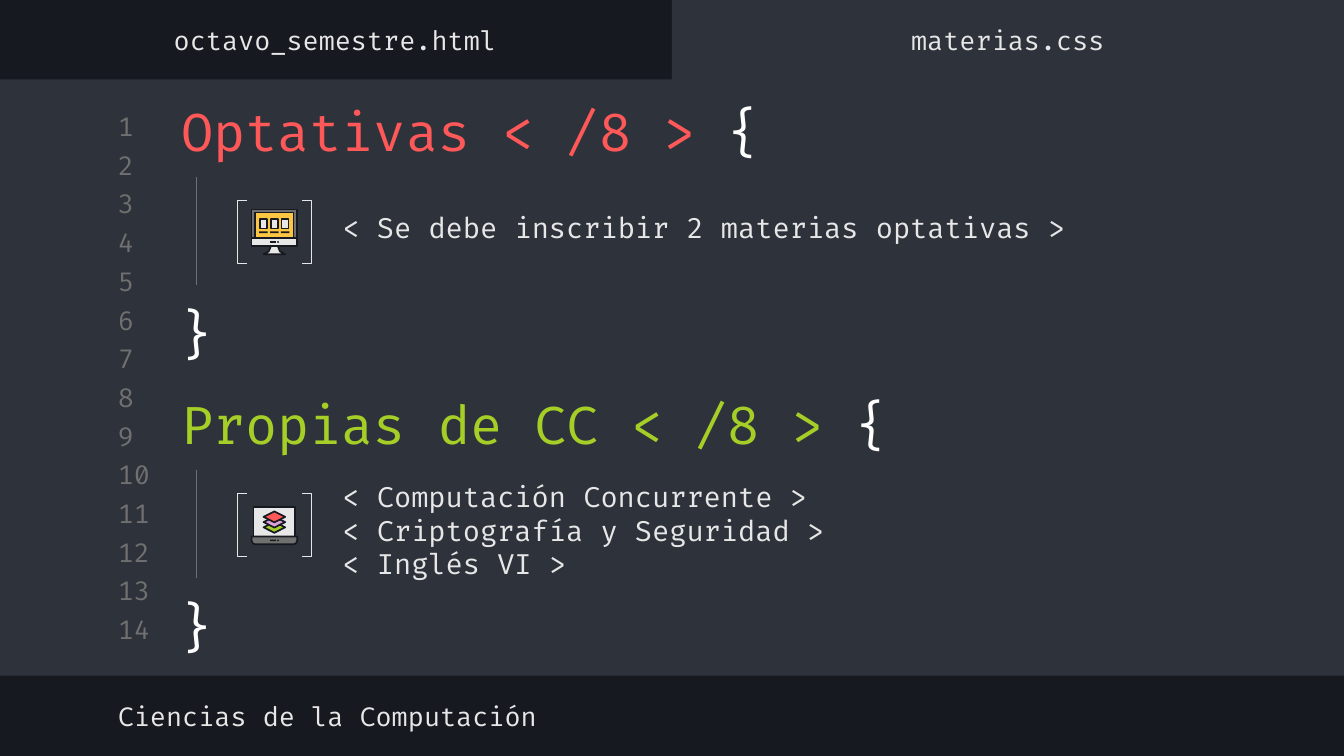
from lxml.etree import SubElement
from pptx import Presentation
from pptx.dml.color import RGBColor
from pptx.enum.shapes import MSO_CONNECTOR, MSO_SHAPE as Preset
from pptx.enum.text import MSO_ANCHOR as Anchor, PP_ALIGN as Align
from pptx.oxml.ns import qn
from pptx.util import Pt

DARK, PANEL, GRAY, LIGHT = "16191F", "2E323B", "707070", "E7E7E7"
RED, GREEN, VIOLET, YELLOW, WHITE = "FF5858", "A5CF27", "DBA0DB", "FCC642", "FFFFFF"
MARGIN = 56
BLOCK_STEP = 157
ICON_CENTER = 147


def color(value):
    return RGBColor.from_string(value)


class CodeSlide:
    font = "Fira Code"
    thin = 0.75
    outline = 0.9

    def __init__(self, slide):
        self.slide = slide
        self.shapes = slide.shapes
        slide.background.fill.solid()
        slide.background.fill.fore_color.rgb = color(DARK)

    def paint(self, shape, fill=None, line=None, width=thin):
        shape.shadow.inherit = False
        if fill:
            shape.fill.solid()
            shape.fill.fore_color.rgb = color(fill)
        else:
            shape.fill.background()
        if line:
            shape.line.color.rgb = color(line)
            shape.line.width = Pt(width)
        else:
            shape.line.fill.background()

    def box(self, left, top, width, height, fill, line=None, preset=Preset.RECTANGLE):
        shape = self.shapes.add_shape(preset, Pt(left), Pt(top), Pt(width), Pt(height))
        self.paint(shape, fill, line, self.outline)
        return shape

    def polygon(self, points, fill):
        start, *others = [(Pt(x), Pt(y)) for x, y in points]
        builder = self.shapes.build_freeform(*start)
        builder.add_line_segments(others, close=True)
        self.paint(builder.convert_to_shape(), fill, DARK, self.outline)

    def bracket(self, preset, left, top):
        shape = self.shapes.add_shape(preset, Pt(left), Pt(top), Pt(5), Pt(34))
        shape.adjustments[0] = 0
        self.paint(shape, line=LIGHT)

    def line(self, x, top, bottom):
        connector = self.shapes.add_connector(
            MSO_CONNECTOR.STRAIGHT, Pt(x), Pt(top), Pt(x), Pt(bottom))
        connector.line.color.rgb = color(GRAY)
        connector.line.width = Pt(self.thin)
        SubElement(connector._element.spPr, qn("a:effectLst"))

    def text(self, left, top, width, height, paragraphs, size=14,
             align=Align.LEFT, anchor=Anchor.MIDDLE):
        """Each paragraph is a list of (text, hex color) runs."""
        frame = self.shapes.add_textbox(
            Pt(left), Pt(top), Pt(width), Pt(height)).text_frame
        frame.word_wrap = True
        frame.vertical_anchor = anchor
        frame.margin_left = frame.margin_right = Pt(7.2)
        frame.margin_top = frame.margin_bottom = Pt(7.2)
        for index, runs in enumerate(paragraphs):
            paragraph = frame.add_paragraph() if index else frame.paragraphs[0]
            paragraph.alignment = align
            for content, run_color in runs:
                run = paragraph.add_run()
                run.text = content
                run.font.name = self.font
                run.font.size = Pt(size)
                run.font.color.rgb = color(run_color)

    def code_block(self, top, title, title_color, title_width):
        """Title with its braces, guide line and icon brackets."""
        self.text(90, top, title_width, 42,
                  [[(title + " ", title_color), ("{", WHITE)]], size=28)
        self.line(105.2, top + 46, top + 103.6)
        self.text(85.6, top + 105, 39.6, 48, [[("}", WHITE)]], size=28,
                  align=Align.CENTER, anchor=Anchor.TOP)
        self.bracket(Preset.LEFT_BRACKET, 127.2, top + 58.3)
        self.bracket(Preset.RIGHT_BRACKET, 162, top + 58.3)

    def monitor_icon(self, top):
        x = ICON_CENTER
        self.polygon([(x - 1.8, top + 19.5), (x + 1.8, top + 19.5), (x + 3, top + 22.5),
                      (x + 5.8, top + 24), (x - 5.8, top + 24), (x - 3, top + 22.5)], LIGHT)
        self.box(x - 12.2, top, 24.4, 15.4, GRAY, DARK)
        self.box(x - 10.2, top + 1.7, 20.4, 13.7, YELLOW, DARK)
        self.box(x - 12.2, top + 15.4, 24.4, 4.2, LIGHT, DARK)
        for offset in (-5.8, 0, 5.8):
            self.box(x + offset - 1.9, top + 5.2, 3.8, 5, LIGHT, DARK)
            self.box(x + offset - 2.3, top + 11.8, 4.6, 0.9, DARK)
        self.button(top + 17)

    def laptop_icon(self, top):
        x = ICON_CENTER
        self.box(x - 11.2, top, 22.4, 15.6, LIGHT, DARK)
        base = self.box(x - 12.2, top + 15.6, 24.4, 4.2, GRAY, DARK,
                        Preset.ROUND_2_SAME_RECTANGLE)
        base.adjustments[0] = 0.5
        base.rotation = 180
        for center, fill in ((10.7, GREEN), (7.9, VIOLET), (5.1, RED)):
            y = top + center
            self.polygon([(x, y - 2.9), (x + 5.8, y), (x, y + 2.9), (x - 5.8, y)], fill)
        self.button(top + 17.3)

    def button(self, top):
        self.box(ICON_CENTER - 2.2, top, 3, 0.9, DARK)
        self.box(ICON_CENTER + 1.5, top, 0.9, 0.9, DARK, preset=Preset.OVAL)


def main():
    presentation = Presentation()
    presentation.slide_width, presentation.slide_height = Pt(720), Pt(405)
    page = CodeSlide(presentation.slides.add_slide(presentation.slide_layouts[6]))

    page.box(0, 42.5, 720, 319.5, PANEL)
    page.box(360, 0, 360, 47, PANEL)
    # The dark tab covers the top of the panel only down to its own edge
    for index in range(14):
        page.text(MARGIN, 59 + 20.74 * index, 34, 17, [[(str(index + 1), GRAY)]])

    for left, name in ((-0.5, "octavo_semestre.html"), (360, "materias.css")):
        page.text(left, 7.5, 360, 28, [[(name, LIGHT)]], align=Align.CENTER)
    page.text(MARGIN, 369.5, 383, 28, [[("Ciencias de la Computación", LIGHT)]])

    first = 49
    second = first + BLOCK_STEP
    page.code_block(first, "Optativas < /8 >", RED, 369)
    page.monitor_icon(first + 63.2)
    page.text(176.4, 95.3, 459, 52.5,
              [[("< Se debe inscribir 2 materias optativas >", LIGHT)]], size=15)

    page.code_block(second, "Propias de CC < /8 >", GREEN, 418)
    page.laptop_icon(second + 65.8)
    courses = ("Computación Concurrente", "Criptografía y Seguridad", "Inglés VI")
    page.text(176.4, 248, 405, 72,
              [[(f"< {course} >", LIGHT)] for course in courses], size=15)

    presentation.save("out.pptx")


if __name__ == "__main__":
    main()
